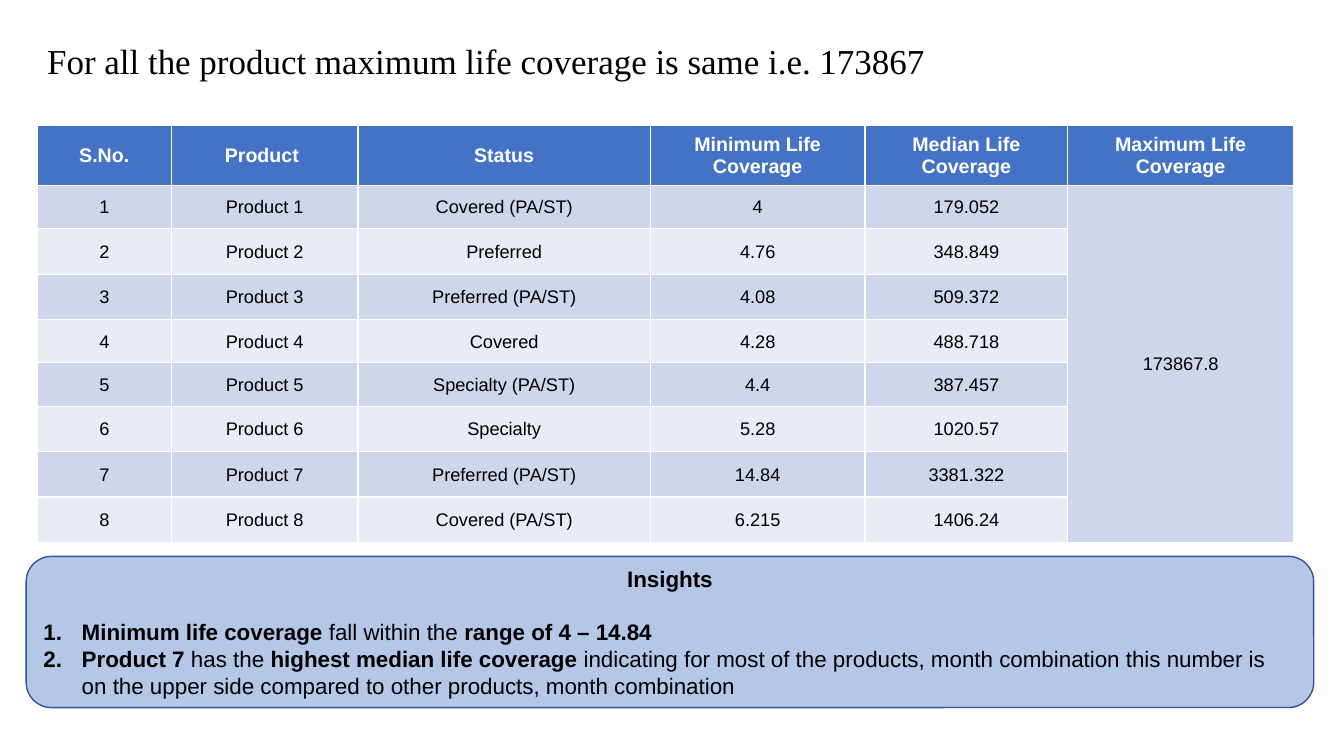
from pptx import Presentation
from pptx.dml.color import RGBColor
from pptx.enum.shapes import MSO_SHAPE
from pptx.enum.text import MSO_ANCHOR, PP_ALIGN
from pptx.oxml.ns import qn
from pptx.util import Inches, Pt
from lxml import etree

BLACK = RGBColor(0x00, 0x00, 0x00)
WHITE = RGBColor(0xFF, 0xFF, 0xFF)
BLUE = RGBColor(0x44, 0x72, 0xC4)
DARK = RGBColor(0xCF, 0xD5, 0xEA)
LIGHT = RGBColor(0xE9, 0xEB, 0xF5)
PANEL = RGBColor(0xB4, 0xC7, 0xE7)
EDGE = RGBColor(0x32, 0x54, 0x91)

HEAD = {"name": "Arial", "size": Pt(14), "bold": True}
BODY = {"name": "Arial", "size": Pt(13), "bold": False}
NOTE = {"name": "Arial", "size": Pt(16)}
TITLE = {"name": "Times New Roman", "size": Pt(25)}


def add_run(para, text, form, color=BLACK):
    run = para.add_run()
    run.text = text
    for key, value in form.items():
        setattr(run.font, key, value)
    run.font.color.rgb = color


prs = Presentation()
prs.slide_width, prs.slide_height = Inches(13.33), Inches(7.5)
slide = prs.slides.add_slide(prs.slide_layouts[6])

# Coverage table
rows = [
    ("S.No.", "Product ", "Status", "Minimum Life Coverage",
     "Median Life Coverage", "Maximum Life Coverage"),
    ("1", "Product 1", "Covered (PA/ST)", "4", "179.052", "173867.8"),
    ("2", "Product 2", "Preferred", "4.76", "348.849"),
    ("3", "Product 3", "Preferred (PA/ST)", "4.08", "509.372"),
    ("4", "Product 4", "Covered", "4.28", "488.718"),
    ("5", "Product 5", "Specialty (PA/ST)", "4.4", "387.457"),
    ("6", "Product 6", "Specialty", "5.28", "1020.57"),
    ("7", "Product 7", "Preferred (PA/ST)", "14.84", "3381.322"),
    ("8", "Product 8", "Covered (PA/ST)", "6.215", "1406.24"),
]
widths = [1.33, 1.85, 2.9, 2.13, 2.01, 2.24]
heights = [0.6, 0.43, 0.45, 0.45, 0.43, 0.43, 0.45, 0.45, 0.45]
table = slide.shapes.add_table(len(rows), len(widths), Inches(0.37), Inches(1.24),
                               Inches(12.46), Inches(4.14)).table
for col, width in zip(table.columns, widths):
    col.width = Inches(width)
for row, height in zip(table.rows, heights):
    row.height = Inches(height)
table.cell(1, 5).merge(table.cell(8, 5))

inset = Inches(0.01)
for r, row in enumerate(rows):
    fill = BLUE if r == 0 else DARK if r % 2 else LIGHT
    form, color = (HEAD, WHITE) if r == 0 else (BODY, BLACK)
    for c, text in enumerate(row):
        cell = table.cell(r, c)
        cell.fill.solid()
        cell.fill.fore_color.rgb = fill
        cell.vertical_anchor = MSO_ANCHOR.MIDDLE
        cell.margin_left = cell.margin_right = cell.margin_top = inset
        cell.margin_bottom = 0
        para = cell.text_frame.paragraphs[0]
        para.alignment = PP_ALIGN.CENTER
        add_run(para, text, form, color)

# Insights panel
panel = slide.shapes.add_shape(MSO_SHAPE.ROUNDED_RECTANGLE, Inches(0.26), Inches(5.52),
                               Inches(12.77), Inches(1.5))
panel.shadow.inherit = False
panel.fill.solid()
panel.fill.fore_color.rgb = PANEL
panel.line.color.rgb = EDGE
panel.line.width = Pt(1)
frame = panel.text_frame
frame.word_wrap = True
frame.vertical_anchor = MSO_ANCHOR.MIDDLE
para = frame.paragraphs[0]
para.alignment = PP_ALIGN.CENTER
para.space_after = Pt(18.5)
add_run(para, "Insights", NOTE | {"bold": True})

# Numbered points, with bold and plain runs in turn
points = [
    ("Minimum life coverage ", "fall within the ", "range of 4 – 14.84"),
    ("Product 7", " has the ", "highest median life coverage ",
     "indicating for most of the products, month combination this number is on "
     "the upper side compared to other products, month combination"),
]
for point in points:
    para = frame.add_paragraph()
    para.alignment = PP_ALIGN.LEFT
    props = para._p.get_or_add_pPr()
    props.set("marL", str(Inches(0.38)))
    props.set("indent", str(-Inches(0.38)))
    etree.SubElement(props, qn("a:buFont"), typeface="+mj-lt")
    etree.SubElement(props, qn("a:buAutoNum"), type="arabicPeriod")
    for i, text in enumerate(point):
        add_run(para, text, NOTE | {"bold": i % 2 == 0})

# Title
box = slide.shapes.add_textbox(Inches(0.37), Inches(0.14), Inches(12.46), Inches(0.72))
frame = box.text_frame
frame.word_wrap = True
frame.vertical_anchor = MSO_ANCHOR.BOTTOM
para = frame.paragraphs[0]
para.line_spacing = 0.9
add_run(para, "For all the product maximum life coverage is same i.e. 173867", TITLE)

prs.save("out.pptx")
